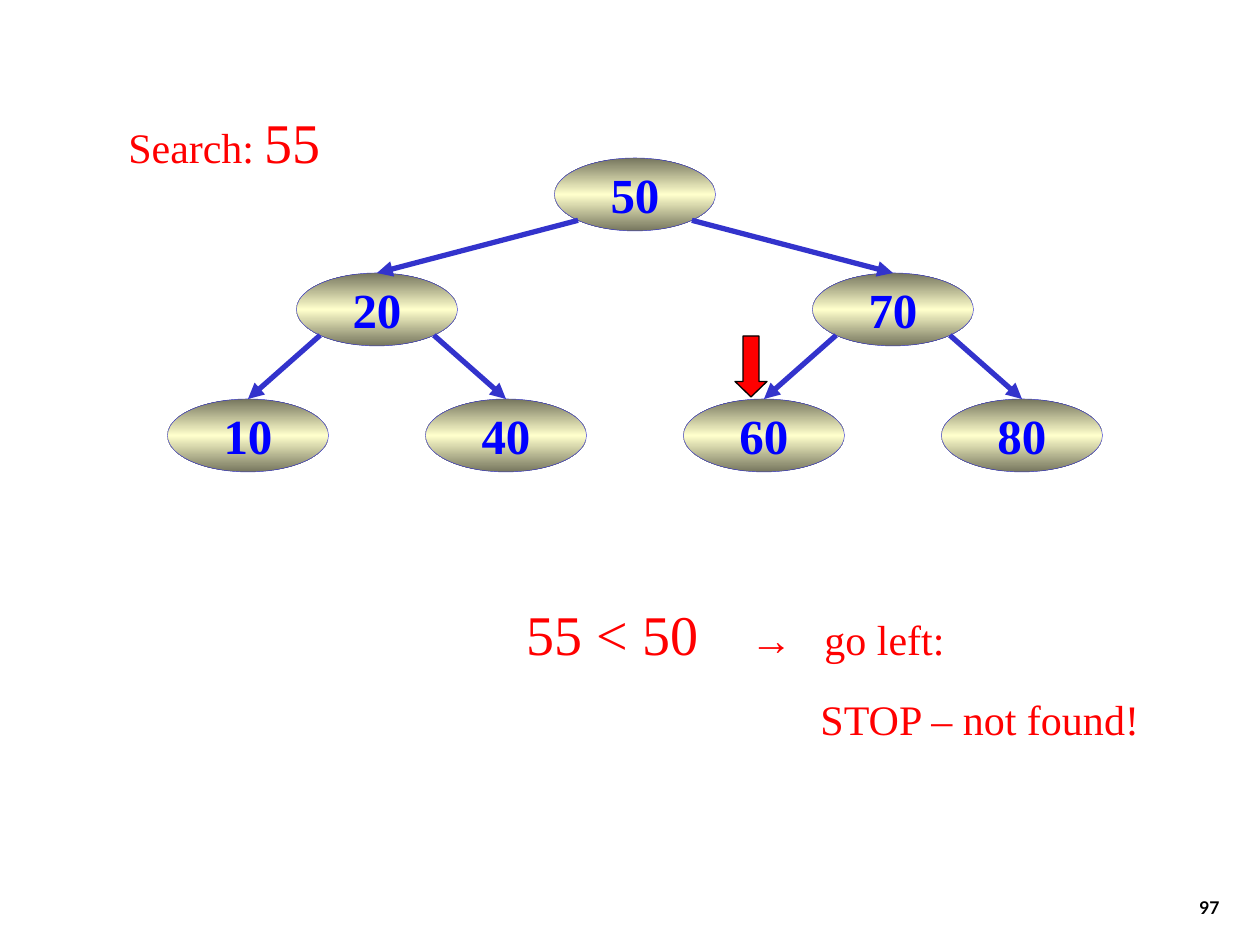
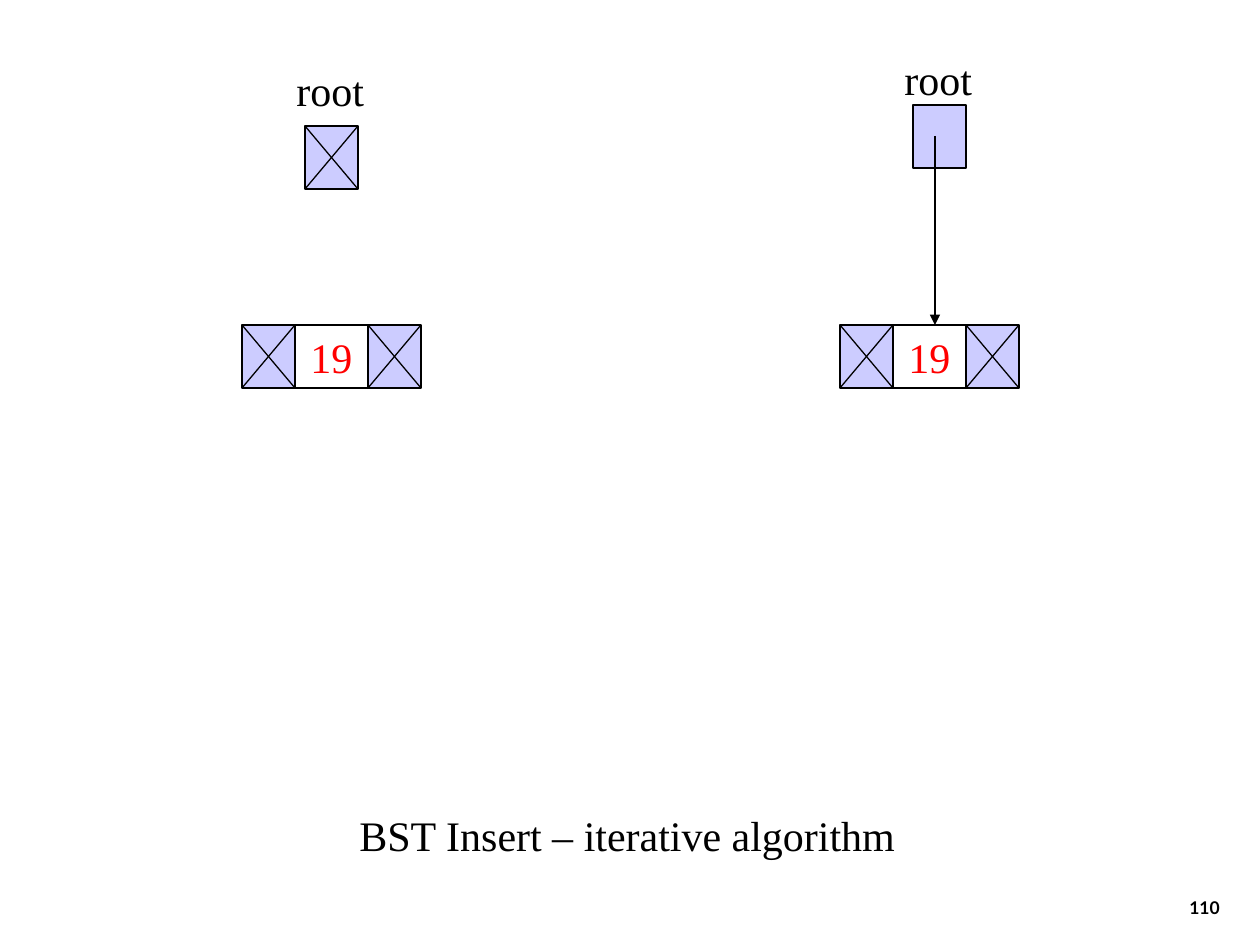
import copy

import pptx
import pptx.dml.color
import pptx.enum.shapes
import pptx.enum.text
import pptx.oxml.ns
import pptx.util
from lxml import etree

RGBColor = pptx.dml.color.RGBColor
SHAPES = pptx.enum.shapes.MSO_SHAPE
ANCHOR = pptx.enum.text.MSO_ANCHOR
ALIGN = pptx.enum.text.PP_ALIGN
qn = pptx.oxml.ns.qn

BLACK = RGBColor(0x00, 0x00, 0x00)
WHITE = RGBColor(0xFF, 0xFF, 0xFF)
RED = RGBColor(0xFF, 0x00, 0x00)
KEY_BLUE = RGBColor(0x00, 0x00, 0xFF)
EDGE_BLUE = RGBColor(0x33, 0x33, 0xCC)
POINTER_LILAC = RGBColor(0xCC, 0xCC, 0xFF)
NODE_DARK = RGBColor(0x76, 0x76, 0x5E)
NODE_LIGHT = RGBColor(0xFF, 0xFF, 0xCC)
SERIF, NUMBER_FONT = "Times New Roman", "Lato"

# Paragraphs are lists of (text, run format) pairs.
SEARCH = [[("Search: ", {}), ("55", {"size": 32})]]
COMPARISON = [
    [("55 < 50", {"size": 32}), ("\t→", {"font": "Arial"}), ("\tgo left:", {})],
    [("STOP – not found!", {})],
]
COMPARISON_TABS = (224, 298)
STOP_INDENT = 294

TREE_LEVELS = [(158, [50]), (273, [20, 70]), (399, [10, 40, 60, 80])]
FIRST_LEAF_X, LEAF_STEP = 248, 258
NODE_WIDTH, NODE_HEIGHT = 161, 73

INSERT_KEY = "19"
ROOT_LABEL = "root"
CAPTION = "BST Insert – iterative algorithm"
POINTER_WIDTH, KEY_WIDTH, CELL_HEIGHT = 53, 73, 63
RECORD_TOP = 325
# label position, root pointer position, record left, whether root is empty
STAGES = [
    ((284, 53), (305, 126), 242, True),
    ((892, 42), (913, 105), 840, False),
]
ROOT_ARROW_X, ROOT_ARROW_TOP = 935, 136


def px(length):
    return pptx.util.Emu(round(length * 914400 / 126))


def write(shape, text, size=24, font=SERIF, color=RED, bold=False,
          align=ALIGN.LEFT, anchor=ANCHOR.TOP, wrap=True, top=6, gap=0):
    """Fill a shape with a string or with paragraphs of formatted runs."""
    frame = shape.text_frame
    frame.word_wrap = wrap
    frame.vertical_anchor = anchor
    frame.margin_top = px(top)
    paragraphs = [[(text, {})]] if isinstance(text, str) else text
    for index, runs in enumerate(paragraphs):
        paragraph = frame.add_paragraph() if index else frame.paragraphs[0]
        paragraph.alignment = align
        if index:
            paragraph.space_before = pptx.util.Pt(gap)
        for words, changes in runs:
            run = paragraph.add_run()
            run.text = words
            run.font.size = pptx.util.Pt(changes.get("size", size))
            run.font.name = changes.get("font", font)
            run.font.bold = bold
            run.font.color.rgb = color


def add_text(slide, box, text, **text_format):
    shape = slide.shapes.add_textbox(*map(px, box))
    write(shape, text, **text_format)
    return shape


def add_shape(slide, kind, box, fill, line=BLACK, line_width=0.75):
    shape = slide.shapes.add_shape(kind, *map(px, box))
    shape.shadow.inherit = False
    if fill is not None:
        shape.fill.solid()
        shape.fill.fore_color.rgb = fill
    shape.line.color.rgb = line
    shape.line.width = pptx.util.Pt(line_width)
    return shape


def add_line(slide, start, end, color=BLACK, width=0.75, arrow=False):
    line = slide.shapes.add_connector(
        pptx.enum.shapes.MSO_CONNECTOR.STRAIGHT, *map(px, (*start, *end)))
    line.line.color.rgb = color
    line.line.width = pptx.util.Pt(width)
    if arrow:
        etree.SubElement(line.line._get_or_add_ln(), qn("a:tailEnd"), type="triangle")
    etree.SubElement(line._element.spPr, qn("a:effectLst"))


def add_numbered_slide(presentation, number):
    slide = presentation.slides.add_slide(presentation.slide_layouts[6])
    add_text(slide, (970, 861, 262, 63), str(number), size=10, font=NUMBER_FONT,
             color=BLACK, bold=True, align=ALIGN.RIGHT, anchor=ANCHOR.BOTTOM)
    return slide


def set_tabs(paragraph, positions):
    tab_list = etree.SubElement(paragraph._p.get_or_add_pPr(), qn("a:tabLst"))
    for position in positions:
        etree.SubElement(tab_list, qn("a:tab"), pos=str(px(position)), algn="l")


def add_tree_node(slide, center, top, key):
    box = (center - NODE_WIDTH / 2, top, NODE_WIDTH, NODE_HEIGHT)
    node = add_shape(slide, SHAPES.OVAL, box, None, EDGE_BLUE, 0.25)
    node.fill.gradient()
    node.fill.gradient_angle = 90
    stop_list = next(node._element.spPr.iter(qn("a:gsLst")))
    stop_list.append(copy.deepcopy(stop_list[0]))
    colors = (NODE_DARK, NODE_LIGHT, NODE_DARK)
    for stop, color, position in zip(node.fill.gradient_stops, colors, (0, 0.5, 1)):
        stop.color.rgb = color
        stop.position = position
    write(node, str(key), size=28, color=KEY_BLUE, bold=True,
          align=ALIGN.CENTER, anchor=ANCHOR.MIDDLE, wrap=False)


def level_centers(count):
    """Centre each node of a level above the leaves below it."""
    leaves = len(TREE_LEVELS[-1][1])
    span = leaves / count
    return [FIRST_LEAF_X + LEAF_STEP * (span * i + (span - 1) / 2)
            for i in range(count)]


def add_tree(slide):
    for top, keys in TREE_LEVELS:
        for center, key in zip(level_centers(len(keys)), keys):
            add_tree_node(slide, center, top, key)
    diagonal = 0.5 ** 0.5
    for (top, keys), (child_top, children) in zip(TREE_LEVELS, TREE_LEVELS[1:]):
        parents = level_centers(len(keys))
        for index, child in enumerate(level_centers(len(children))):
            side = 1 if index % 2 else -1
            start = (parents[index // 2] + side * NODE_WIDTH / 2 * diagonal,
                     top + NODE_HEIGHT / 2 * (1 + diagonal))
            add_line(slide, start, (child, child_top), EDGE_BLUE, 3, arrow=True)


def add_pointer(slide, left, top, empty=True):
    add_shape(slide, SHAPES.RECTANGLE, (left, top, POINTER_WIDTH, CELL_HEIGHT),
              POINTER_LILAC)
    if empty:
        right, bottom = left + POINTER_WIDTH, top + CELL_HEIGHT
        add_line(slide, (right, top), (left, bottom))
        add_line(slide, (left, top), (right, bottom))


def add_record(slide, left):
    key_left = left + POINTER_WIDTH
    key = add_shape(slide, SHAPES.RECTANGLE,
                    (key_left, RECORD_TOP, KEY_WIDTH, CELL_HEIGHT), WHITE)
    write(key, INSERT_KEY, align=ALIGN.CENTER, anchor=ANCHOR.MIDDLE, wrap=False)
    for pointer_left in (key_left + KEY_WIDTH, left):
        add_pointer(slide, pointer_left, RECORD_TOP)


def build_search_slide(presentation):
    slide = add_numbered_slide(presentation, 97)
    add_text(slide, (116, 95, 242, 81), SEARCH, top=12)
    comparison = add_text(slide, (514, 588, 672, 156), COMPARISON, top=12, gap=15)
    first, second = comparison.text_frame.paragraphs
    set_tabs(first, COMPARISON_TABS)
    second._p.get_or_add_pPr().set("marL", str(px(STOP_INDENT)))
    marker = add_shape(slide, SHAPES.DOWN_ARROW, (735, 336, 32, 61), RED)
    marker.adjustments[1] = 0.485
    add_tree(slide)


def build_insert_slide(presentation):
    slide = add_numbered_slide(presentation, 110)
    for label_corner, root_corner, record_left, empty in STAGES:
        add_record(slide, record_left)
        add_text(slide, (*label_corner, 105, 63), ROOT_LABEL, color=BLACK, top=12)
        add_pointer(slide, *root_corner, empty)
    add_line(slide, (ROOT_ARROW_X, ROOT_ARROW_TOP), (ROOT_ARROW_X, RECORD_TOP),
             arrow=True)
    add_text(slide, (347, 798, 599, 63), CAPTION, color=BLACK, top=12)


def main():
    presentation = pptx.Presentation()
    presentation.slide_width, presentation.slide_height = px(1260), px(945)
    build_search_slide(presentation)
    build_insert_slide(presentation)
    presentation.save("out.pptx")


if __name__ == "__main__":
    main()
